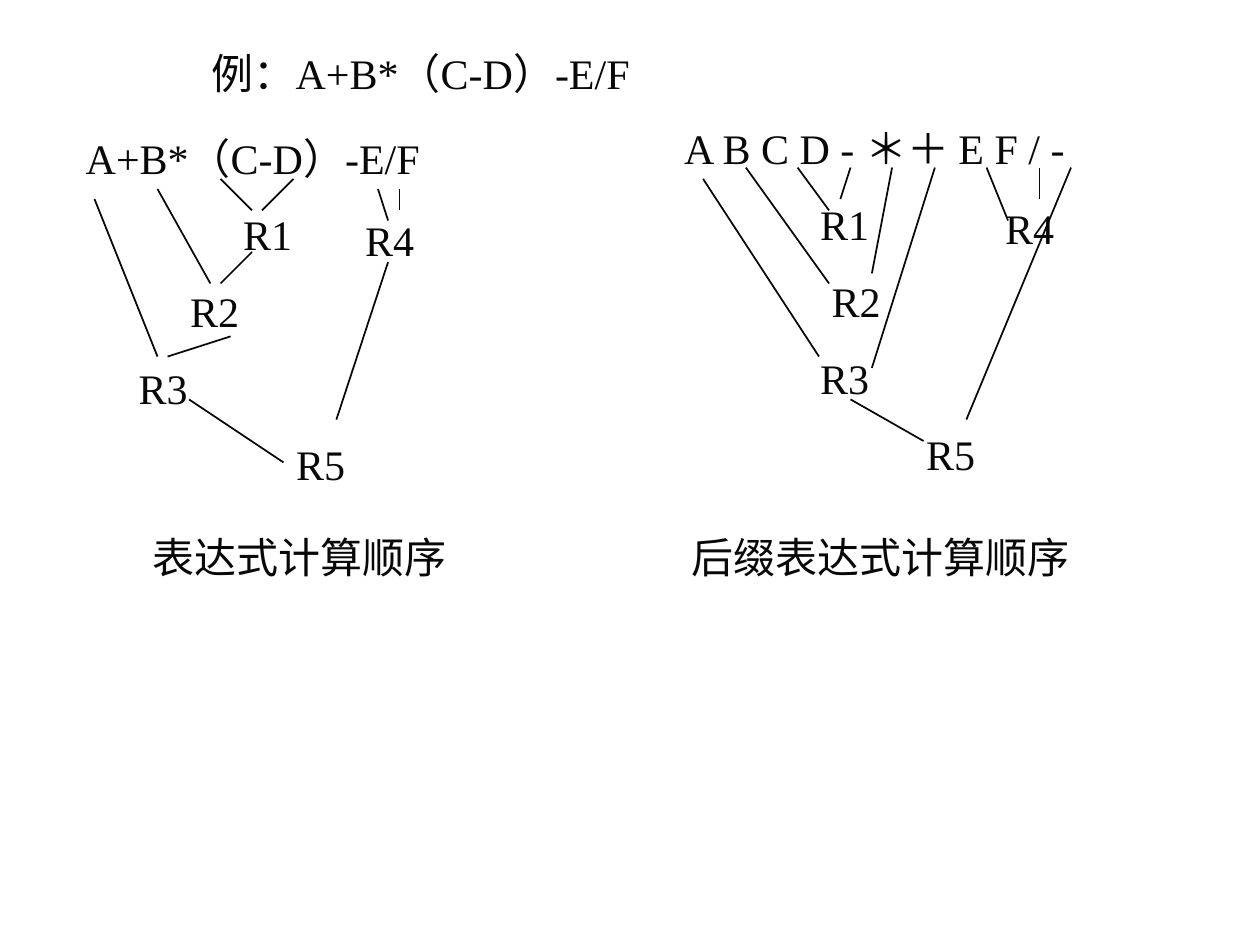
from pptx import Presentation
from pptx import util as u
from pptx.dml.color import RGBColor
from pptx.enum import shapes, text
from pptx.oxml.ns import qn
from lxml import etree

COLORS = {"ink": "080808"}
FONT = "Times New Roman"


def add_text(paragraph, content, size=24, color="ink", before=0, indent=0):
    """Write unbulleted, left-aligned text indented by some inches."""
    paragraph.alignment = text.PP_ALIGN.LEFT
    paragraph.space_before = u.Pt(before)
    properties = paragraph._p.get_or_add_pPr()
    properties.set("marL", str(u.Inches(indent)))
    properties.set("indent", "0")
    etree.SubElement(properties, qn("a:buNone"))
    run = paragraph.add_run()
    run.text = content
    run.font.name = FONT
    run.font.size = u.Pt(size)
    run.font.color.rgb = RGBColor.from_string(COLORS[color])


class SlideBuilder:
    def __init__(self, slide, line_width=1, row_gap=15):
        self.slide = slide
        self.line_width = line_width
        self.row_gap = row_gap

    def place(self, shape, left, top, width, height):
        shape.left, shape.top = u.Inches(left), u.Inches(top)
        shape.width, shape.height = u.Inches(width), u.Inches(height)
        frame = shape.text_frame
        frame.word_wrap = True
        frame.auto_size = text.MSO_AUTO_SIZE.NONE
        frame.vertical_anchor = text.MSO_ANCHOR.TOP
        return frame

    def title(self, content, *box):
        frame = self.place(self.slide.shapes.title, *box)
        add_text(frame.paragraphs[0], content)

    def tree(self, index, expression, rows, *box):
        """Fill a body with an expression and (label, indent) rows."""
        frame = self.place(self.slide.placeholders[index], *box)
        add_text(frame.paragraphs[0], expression)
        for label, indent in rows:
            add_text(frame.add_paragraph(), label,
                     before=self.row_gap, indent=indent)

    def label(self, content, left, top, width=0.7, height=0.5):
        shape = self.slide.shapes.add_textbox(0, 0, 0, 0)
        frame = self.place(shape, left, top, width, height)
        add_text(frame.paragraphs[0], content)

    def branches(self, lines):
        for ends in lines:
            line = self.slide.shapes.add_connector(
                shapes.MSO_CONNECTOR.STRAIGHT, *map(u.Inches, ends))
            line.line.color.rgb = RGBColor.from_string(COLORS["ink"])
            line.line.width = u.Pt(self.line_width)
            etree.SubElement(line._element.spPr, qn("a:effectLst"))


def main():
    presentation = Presentation()
    presentation.slide_width = u.Inches(10)
    presentation.slide_height = u.Inches(7.5)
    two_content = presentation.slide_layouts[3]
    builder = SlideBuilder(presentation.slides.add_slide(two_content))

    # Example expression
    builder.title("例：A+B*（C-D）-E/F", 1.58, 0.33, 5.25, 0.5)

    # Infix evaluation order
    builder.tree(
        1, "A+B*（C-D）-E/F",
        [("R1", 1.25), ("R2", 0.83), ("R3", 0.42), ("R5", 1.67)],
        0.58, 1, 4.25, 2.94)
    builder.label("R4", 2.8, 1.65)
    builder.branches([
        (1.75, 1.42, 2, 1.67), (2.08, 1.67, 2.33, 1.42),        # R1
        (1.25, 1.5, 1.67, 2.25), (2, 2, 1.75, 2.25),            # R2
        (0.75, 1.58, 1.25, 2.83), (1.83, 2.67, 1.33, 2.83),     # R3
        (3, 1.5, 3.08, 1.75), (3.17, 1.5, 3.17, 1.67),          # R4
        (1.5, 3.17, 2.25, 3.67), (3.08, 2.08, 2.67, 3.33),      # R5
    ])

    # Postfix evaluation order
    builder.tree(
        2, "A B C D - ＊＋ E F / -",
        [("R1", 1.08), ("R2", 1.17), ("R3", 1.08), ("R5", 1.92)],
        5.33, 0.92, 3.58, 2.94)
    builder.label("R4", 7.88, 1.56)
    builder.branches([
        (6.33, 1.33, 6.58, 1.67), (6.75, 1.33, 6.67, 1.58),     # R1
        (5.92, 1.33, 6.58, 2.25), (7.08, 1.33, 6.92, 2.17),     # R2
        (5.58, 1.42, 6.5, 2.83), (7.42, 1.33, 6.92, 2.92),      # R3
        (7.83, 1.33, 8, 1.75), (8.25, 1.33, 8.25, 1.58),        # R4
        (8.5, 1.33, 7.67, 3.33), (6.75, 3.17, 7.33, 3.5),       # R5
    ])

    # Captions below the two trees
    builder.label("表达式计算顺序", 1.11, 4.17, width=3)
    builder.label("后缀表达式计算顺序", 5.39, 4.17, width=4)

    presentation.save("out.pptx")


if __name__ == "__main__":
    main()
